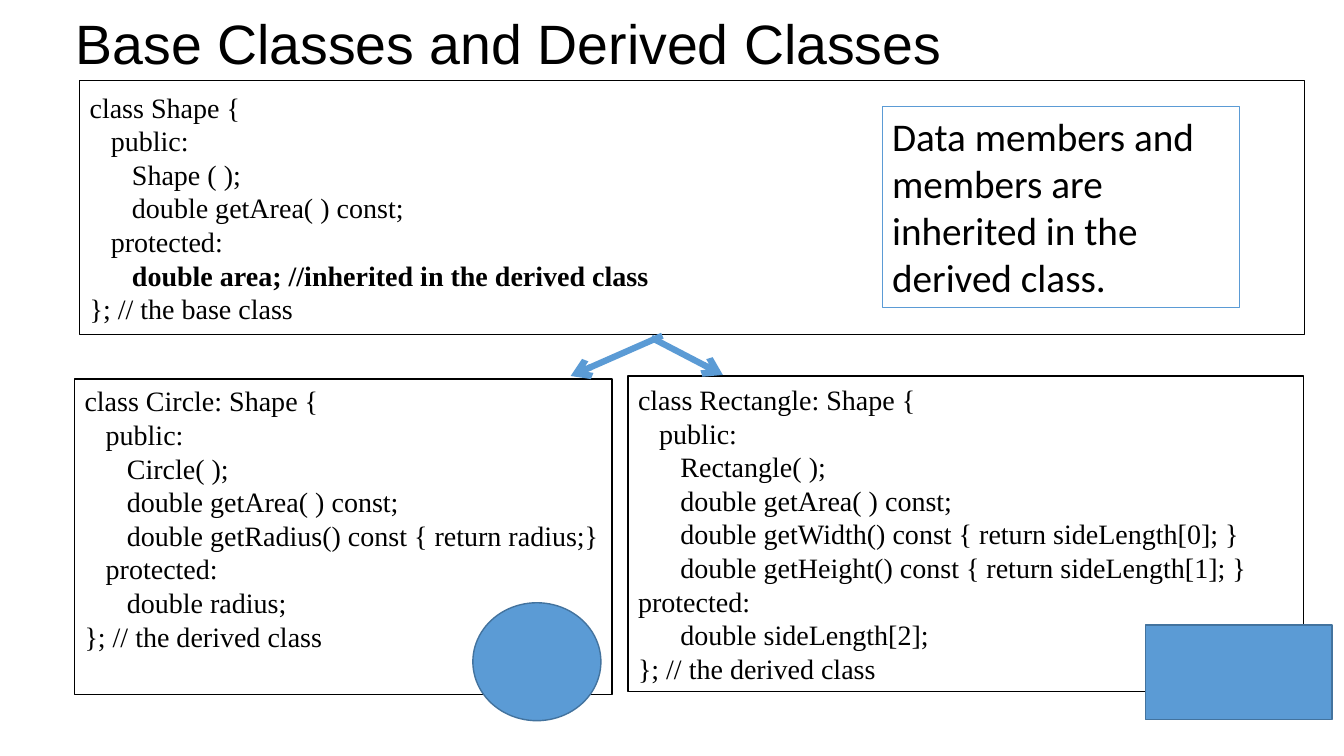
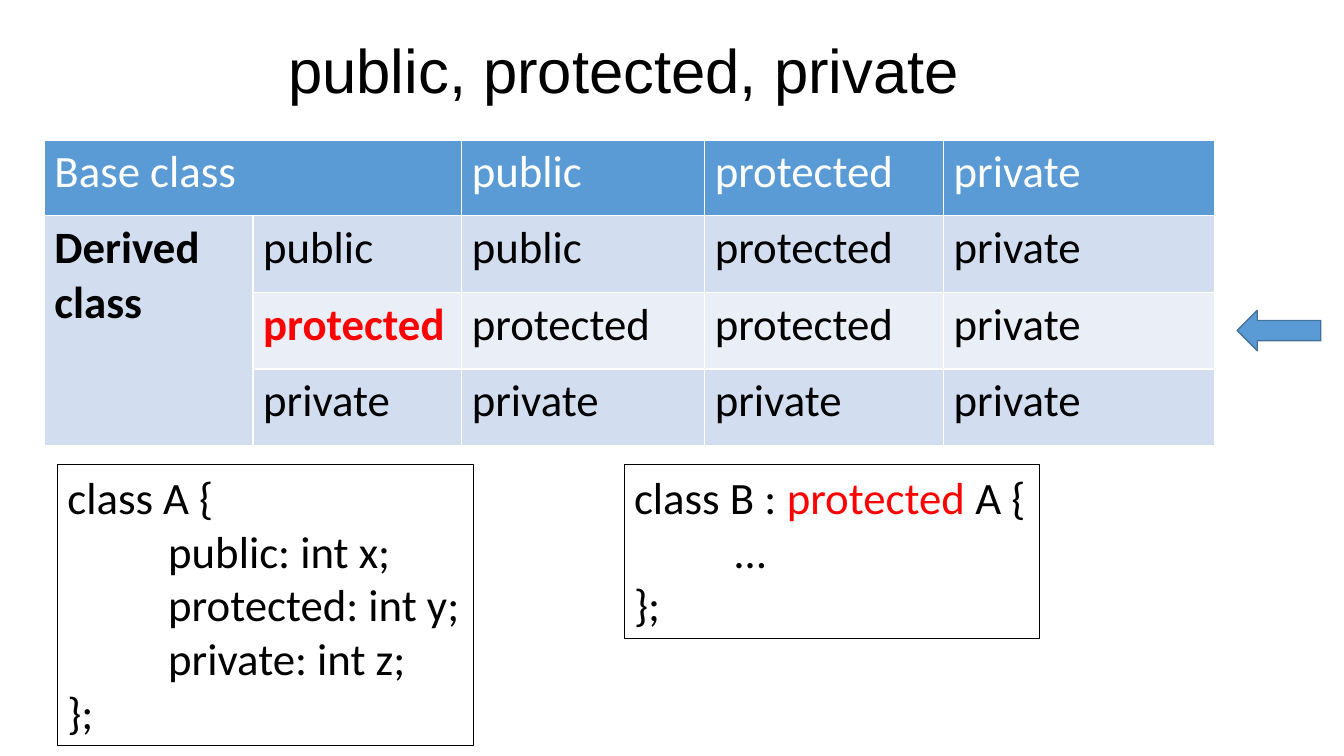
from dataclasses import dataclass
from pptx import Presentation
from pptx.dml.color import RGBColor as RGB
from pptx.enum.shapes import MSO_CONNECTOR as Connector, MSO_SHAPE as Preset
from pptx.enum.text import MSO_ANCHOR as Anchor, MSO_AUTO_SIZE as AutoSize, PP_ALIGN as Align
from pptx.oxml.ns import qn
from pptx.util import Inches, Pt
from lxml.etree import SubElement


@dataclass(frozen=True)
class Theme:
    black: RGB = RGB(0, 0, 0)
    white: RGB = RGB(255, 255, 255)
    red: RGB = RGB(255, 0, 0)
    blue: RGB = RGB(0x5B, 0x9B, 0xD5)
    outline: RGB = RGB(0x43, 0x73, 0x9E)
    band_dark: RGB = RGB(0xD2, 0xDE, 0xEF)
    band_light: RGB = RGB(0xEA, 0xEF, 0xF7)
    title_font: str = "Arial"
    body_font: str = "Calibri"
    code_font: str = "Times New Roman"
    code_size: float = 20
    note_size: float = 28
    body_size: float = 32


theme = Theme()


def write(frame, lines, font, size, color=theme.black, step=0.0):
    for index, (level, *runs) in enumerate(lines):
        paragraph = frame.paragraphs[0] if index == 0 else frame.add_paragraph()
        paragraph.alignment = Align.LEFT
        if level:
            properties = paragraph._p.get_or_add_pPr()
            properties.set("marL", str(Inches(level * step)))
            properties.set("indent", "0")
        for text, bold, run_color in runs:
            run = paragraph.add_run()
            run.text = text
            run.font.name = font
            run.font.size = Pt(size)
            run.font.bold = bold
            run.font.color.rgb = run_color or color


def add_box(slide, preset, place, line, width, fill=None, anchor=Anchor.TOP):
    shape = slide.shapes.add_shape(preset, *map(Inches, place))
    shape.shadow.inherit = False
    if fill is None:
        shape.fill.background()
    else:
        shape.fill.solid()
        shape.fill.fore_color.rgb = fill
    shape.line.color.rgb = line
    shape.line.width = Pt(width)
    shape.text_frame.word_wrap = True
    shape.text_frame.vertical_anchor = anchor
    return shape


presentation = Presentation()
presentation.slide_width = Inches(13.33)
presentation.slide_height = Inches(7.5)

titles = [
    ("Base Classes and Derived Classes", (0.65, 0.13, 9.2, 0.67), 39.6, Align.LEFT),
    ("public, protected, private", (0.44, 0, 11.5, 1.45), 44, Align.CENTER),
]
slides = []
for text, place, size, alignment in titles:
    slide = presentation.slides.add_slide(presentation.slide_layouts[5])
    title = slide.shapes.title
    title.left, title.top, title.width, title.height = map(Inches, place)
    title.text_frame.auto_size = AutoSize.NONE
    title.text_frame.vertical_anchor = Anchor.MIDDLE
    write(title.text_frame, [(0, (text, False, None))], theme.title_font, size)
    title.text_frame.paragraphs[0].alignment = alignment
    title.text_frame.paragraphs[0].line_spacing = 0.9
    slides.append(slide)
classes_slide, access_slide = slides

class_boxes = [
    ((0.79, 0.8, 12.15, 2.52), Anchor.MIDDLE, [
        (0, "class Shape {"),
        (1, "public:"),
        (2, "Shape ( );"),
        (2, "double getArea( ) const;"),
        (1, "protected:"),
        (2, "double area; //inherited in the derived class"),
        (0, "}; // the base class"),
    ]),
    ((0.74, 3.76, 5.33, 3.13), Anchor.TOP, [
        (0, "class Circle: Shape {"),
        (1, "public:"),
        (2, "Circle( );"),
        (2, "double getArea( ) const;"),
        (2, "double getRadius() const { return radius;}"),
        (1, "protected:"),
        (2, "double radius;"),
        (0, "}; // the derived class"),
    ]),
    ((6.23, 3.73, 6.7, 3.13), Anchor.MIDDLE, [
        (0, "class Rectangle: Shape {"),
        (1, "public:"),
        (2, "Rectangle( );"),
        (2, "double getArea( ) const;"),
        (2, "double getWidth() const { return sideLength[0]; }"),
        (2, "double getHeight() const { return sideLength[1]; }"),
        (0, "protected:"),
        (2, "double sideLength[2];"),
        (0, "}; // the derived class"),
    ]),
]
for place, anchor, code in class_boxes:
    box = add_box(classes_slide, Preset.RECTANGLE, place, theme.black, 1, anchor=anchor)
    lines = [(level, (text, "inherited" in text, None)) for level, text in code]
    write(box.text_frame, lines, theme.code_font, theme.code_size, step=0.21)

add_box(classes_slide, Preset.RECTANGLE, (11.36, 6.2, 1.85, 0.94), theme.outline, 1, theme.blue)
add_box(classes_slide, Preset.OVAL, (4.69, 5.98, 1.27, 1.17), theme.outline, 1, theme.blue)

for ends in [(6.57, 3.33, 5.66, 3.73), (6.46, 3.35, 7.17, 3.72)]:
    arrow = classes_slide.shapes.add_connector(Connector.STRAIGHT, *map(Inches, ends))
    arrow.line.color.rgb = theme.blue
    arrow.line.width = Pt(4.5)
    SubElement(arrow.line._get_or_add_ln(), qn("a:tailEnd"), type="arrow")
    SubElement(arrow._element.spPr, qn("a:effectLst"))

note = add_box(classes_slide, Preset.RECTANGLE, (8.75, 1.06, 3.54, 1.99), theme.blue, 0.75)
note_text = "Data members and members are inherited in the derived class."
write(note.text_frame, [(0, (note_text, False, None))], theme.body_font, theme.note_size)

rows = [
    ["Base class", "", "public", "protected", "private"],
    ["Derived\nclass", "public", "public", "protected", "private"],
    ["", "protected", "protected", "protected", "private"],
    ["", "private", "private", "private", "private"],
]
fills = [theme.blue, theme.band_dark, theme.band_light, theme.band_dark]
table = access_slide.shapes.add_table(
    4, 5, Inches(0.44), Inches(1.39), Inches(11.61), Inches(3.03)).table
for column, width in zip(table.columns, [2.07, 2.07, 2.41, 2.37, 2.69]):
    column.width = Inches(width)
for row, height in zip(table.rows, [0.75, 0.76, 0.76, 0.76]):
    row.height = Inches(height)
table.cell(0, 0).merge(table.cell(0, 1))
table.cell(1, 0).merge(table.cell(3, 0))

for row_index, (texts, fill) in enumerate(zip(rows, fills)):
    for column_index, text in enumerate(texts):
        cell = table.cell(row_index, column_index)
        properties = cell._tc.get_or_add_tcPr()
        for side in ("lnL", "lnR", "lnT", "lnB"):
            border = SubElement(properties, qn(f"a:{side}"), w=str(Pt(1)))
            solid = SubElement(border, qn("a:solidFill"))
            SubElement(solid, qn("a:srgbClr"), val=str(theme.white))
        cell.fill.solid()
        cell.fill.fore_color.rgb = fill
        if not text:
            continue
        highlighted = (row_index, column_index) == (2, 1)
        bold = highlighted or (row_index, column_index) == (1, 0)
        color = theme.red if highlighted else theme.white if row_index == 0 else theme.black
        lines = [(0, (line, bold, color)) for line in text.split("\n")]
        write(cell.text_frame, lines, theme.body_font, theme.body_size)

add_box(access_slide, Preset.LEFT_ARROW, (12.27, 3.08, 0.83, 0.4), theme.outline, 1, theme.blue)

code_boxes = [
    ((6.19, 4.61, 4.12, 1.72), [
        (0, ("class B : ", False, None), ("protected", False, theme.red), (" A {", False, None)),
        (1, ("…", False, None)),
        (0, ("};", False, None)),
    ]),
    ((0.57, 4.61, 4.13, 2.79), [
        (0, ("class A {", False, None)),
        (1, ("public: int x;", False, None)),
        (1, ("protected: int y;", False, None)),
        (1, ("private: int z;", False, None)),
        (0, ("};", False, None)),
    ]),
]
for place, lines in code_boxes:
    box = add_box(access_slide, Preset.RECTANGLE, place, theme.black, 0.75)
    box.text_frame.word_wrap = False
    write(box.text_frame, lines, theme.body_font, theme.body_size, step=1.0)

presentation.save("out.pptx")
